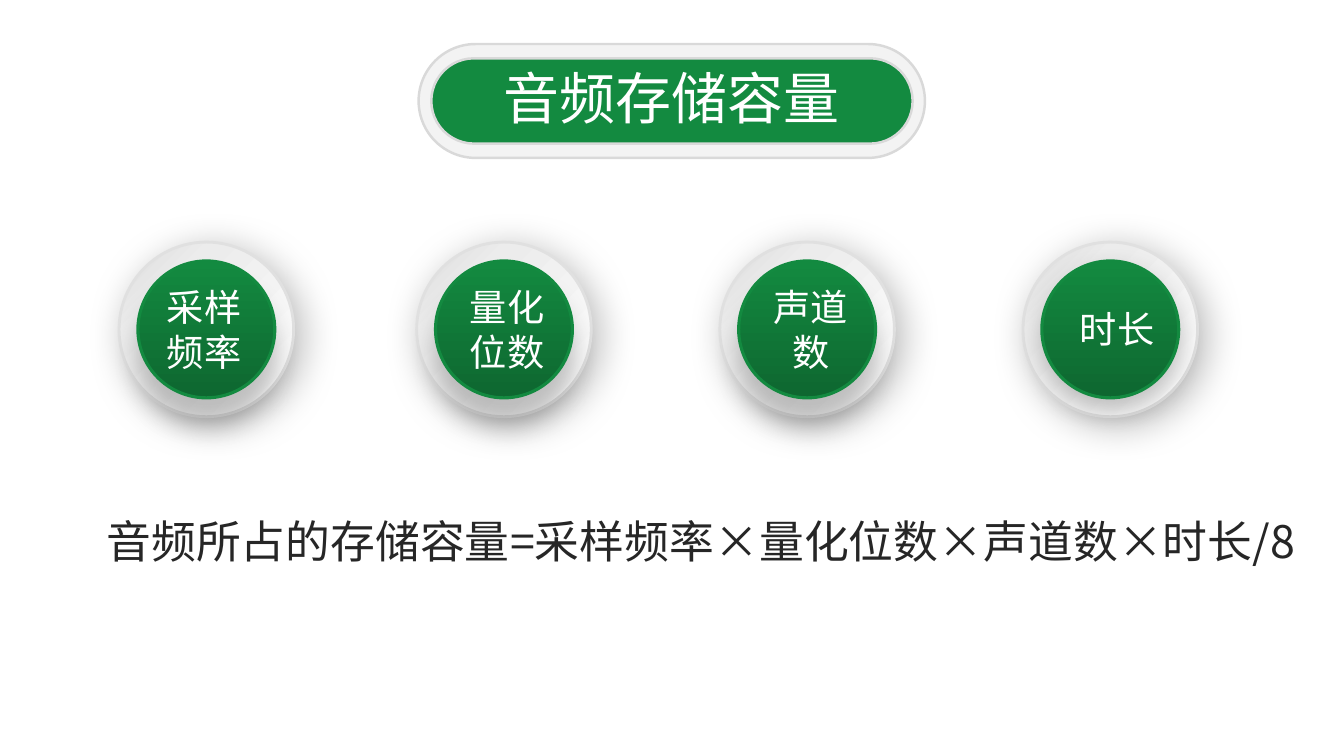
from dataclasses import dataclass

from lxml.etree import SubElement as Sub
from pptx import Presentation
from pptx.dml.color import RGBColor as Rgb
from pptx.enum.shapes import MSO_SHAPE as Kind
from pptx.enum.text import MSO_ANCHOR as Anchor, MSO_AUTO_SIZE as Fit, PP_ALIGN as Align
from pptx.oxml.ns import qn
from pptx.shapes.autoshape import Shape
from pptx.slide import Slide
from pptx.util import Cm, Pt


@dataclass(frozen=True)
class Theme:
    font: str = "Noto Sans CJK JP"
    green: str = "138A40"
    dark: str = "0E6730"
    white: str = "FFFFFF"
    pale: str = "F3F3F3"
    edge: str = "D9D9D9"
    rim: str = "E0E0E0"
    mist: str = "ECECEC"
    black: str = "000000"
    ink: str = "262626"
    title: float = 40
    label: float = 26.6
    body: float = 32


@dataclass(frozen=True)
class Box:
    left: float
    top: float
    width: float
    height: float

    def span(self) -> tuple[Cm, Cm, Cm, Cm]:
        return Cm(self.left), Cm(self.top), Cm(self.width), Cm(self.height)


@dataclass(frozen=True)
class Shade:
    color: str
    blur: float
    dist: float
    angle: int


@dataclass(frozen=True)
class Badge:
    left: float
    text: Box
    lines: tuple[str, ...]
    drop: float = 18


THEME = Theme()
TOP, RING, DISC = 6.1, 4.4, 3.45
GAP = (RING - DISC) / 2
BADGES = (
    Badge(3, Box(3.1, 7.04, 4.09, 2.54), ("采样", "频率")),
    Badge(10.5, Box(10.74, 7.04, 4.09, 2.54), ("量化", "位数")),
    Badge(18.14, Box(18.39, 7.04, 4.09, 2.54), ("声道", "数")),
    Badge(25.78, Box(26.11, 7.59, 4.09, 1.4), ("时长",), 8),
)


def add_form(slide: Slide, kind: Kind, box: Box, line: str, width: float) -> Shape:
    form = slide.shapes.add_shape(kind, *box.span())
    form.shadow.inherit = False
    form.line.color.rgb = Rgb.from_string(line)
    form.line.width = Pt(width)
    return form


def add_pill(slide: Slide, box: Box, fill: str) -> None:
    pill = add_form(slide, Kind.ROUNDED_RECTANGLE, box, THEME.edge, 1.75)
    pill.adjustments[0] = 0.5
    pill.fill.solid()
    pill.fill.fore_color.rgb = Rgb.from_string(fill)


def add_disc(slide: Slide, box: Box, line: str, width: float,
             stops: dict[int, str], angle: int, shade: Shade) -> None:
    disc = add_form(slide, Kind.OVAL, box, line, width)
    disc.rotation = 180
    props = disc._element.spPr
    grad = props.makeelement(qn("a:gradFill"), {"rotWithShape": "1"})
    items = Sub(grad, qn("a:gsLst"))
    for place, color in stops.items():
        stop = Sub(items, qn("a:gs"), pos=str(place * 1000))
        Sub(stop, qn("a:srgbClr"), val=color)
    Sub(grad, qn("a:lin"), ang=str(angle * 60000), scaled="0")
    props.insert(2, grad)
    cast = Sub(props.find(qn("a:effectLst")), qn("a:outerShdw"),
               blurRad=str(Pt(shade.blur)), dist=str(Pt(shade.dist)),
               dir=str(shade.angle * 60000), algn="ctr", rotWithShape="0")
    tint = Sub(cast, qn("a:srgbClr"), val=shade.color)
    Sub(tint, qn("a:alpha"), val="28000")


def add_text(slide: Slide, box: Box, lines: tuple[str, ...], size: float, color: str,
             anchor: Anchor = Anchor.TOP, space: float | None = None) -> None:
    frame = slide.shapes.add_textbox(*box.span()).text_frame
    frame.word_wrap = True
    frame.auto_size = Fit.SHAPE_TO_FIT_TEXT
    frame.vertical_anchor = anchor
    frame.text = "\n".join(lines)
    for para in frame.paragraphs:
        para.alignment = Align.CENTER
        para.line_spacing = space
        para.font.size = Pt(size)
        para.font.color.rgb = Rgb.from_string(color)
        para.font.name = THEME.font
        Sub(para._p.pPr.find(qn("a:defRPr")), qn("a:ea"), typeface=THEME.font)


def add_badge(slide: Slide, badge: Badge) -> None:
    add_disc(slide, Box(badge.left, TOP, RING, RING), THEME.rim, 2,
             {0: THEME.white, 73: THEME.mist, 100: THEME.edge}, 45,
             Shade(THEME.black, 28, 7, 45))
    add_disc(slide, Box(badge.left + GAP, TOP + GAP, DISC, DISC), THEME.green, 2.25,
             {0: THEME.dark, 100: THEME.green}, 90,
             Shade(THEME.ink, 18, badge.drop, 90))
    add_text(slide, badge.text, badge.lines, THEME.label, THEME.white)


def main() -> None:
    deck = Presentation()
    deck.slide_width, deck.slide_height = Cm(33.87), Cm(19.05)
    slide = deck.slides.add_slide(deck.slide_layouts[6])
    for badge in BADGES:
        add_badge(slide, badge)
    add_text(slide, Box(2.24, 12.62, 30.84, 1.75),
             ("音频所占的存储容量=采样频率×量化位数×声道数×时长/8",),
             THEME.body, THEME.ink, Anchor.MIDDLE, 1.2)
    add_pill(slide, Box(10.55, 1.11, 12.76, 2.87), THEME.pale)
    add_pill(slide, Box(10.87, 1.47, 12.13, 2.15), THEME.green)
    add_text(slide, Box(11.68, 1.47, 10.49, 1.96), ("音频存储容量",),
             THEME.title, THEME.white)
    deck.save("out.pptx")


if __name__ == "__main__":
    main()
